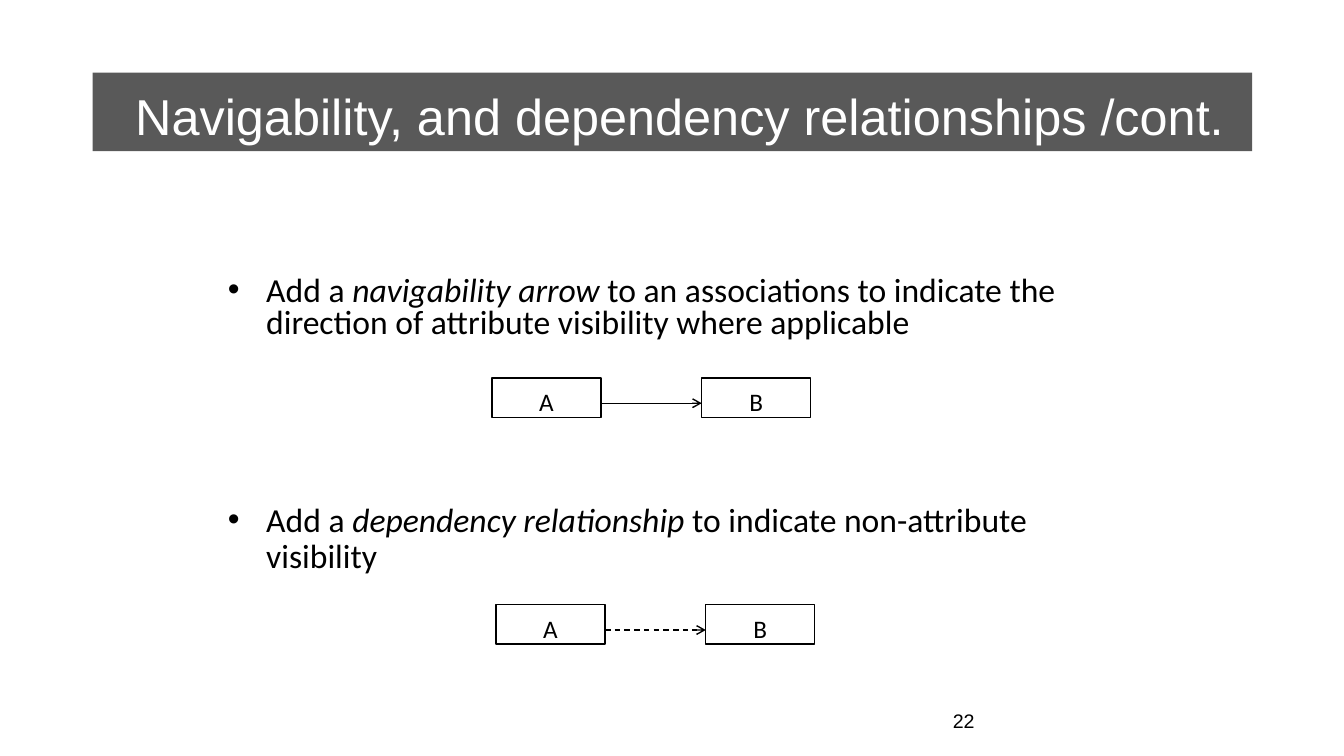
from lxml import etree
from pptx import Presentation
from pptx.dml.color import RGBColor
from pptx.enum.dml import MSO_LINE
from pptx.enum.shapes import MSO_CONNECTOR as LINK, MSO_SHAPE as SHAPE
from pptx.enum.text import MSO_ANCHOR as ANCHOR, MSO_AUTO_SIZE as FIT, PP_ALIGN as ALIGN
from pptx.oxml.ns import qn
from pptx.util import Emu, Pt

PX = 9144  # 100 px to the inch
COLORS = {"ink": "000000", "paper": "FFFFFF"}
BOX_W, BOX_H, GAP, DROP = 108, 39, 100, 25


def px(n):
    return Emu(n * PX)


def color(name):
    return RGBColor.from_string(COLORS[name])


def place(shape, x, y, w, h):
    shape.left, shape.top, shape.width, shape.height = map(px, (x, y, w, h))


def frame(shape, top=0, anchor=ANCHOR.TOP):
    body = shape.text_frame
    body.word_wrap = True
    body.auto_size = FIT.NONE
    body.vertical_anchor = anchor
    body.margin_left = body.margin_right = body.margin_bottom = 0
    body.margin_top = px(top)
    return body


def style(item, face, size, tint="ink"):
    item.font.name = face
    item.font.size = Pt(size)
    item.font.color.rgb = color(tint)


def indent(para, left, first=0, mark=None):
    props = para._p.get_or_add_pPr()
    props.set("marL", str(px(left)))
    props.set("indent", str(px(first)))
    if mark:
        etree.SubElement(props, qn("a:buChar")).set("char", mark)
    else:
        etree.SubElement(props, qn("a:buNone"))


def add_bar(slide):
    bar = slide.shapes.add_shape(SHAPE.RECTANGLE, px(92), px(72), px(1150), px(78))
    bar.shadow.inherit = False
    bar.line.fill.background()
    bar.fill.solid()
    bar.fill.fore_color.rgb = color("ink")
    tint = bar._element.spPr.find(".//" + qn("a:srgbClr"))
    etree.SubElement(tint, qn("a:alpha")).set("val", "65000")
    slide.shapes._spTree.insert(2, bar._element)  # behind the title


def add_title(slide, text):
    title = slide.shapes.title
    place(title, 92, 83, 1142, 62)
    body = frame(title, 1, ANCHOR.MIDDLE)
    body.text = text
    para = body.paragraphs[0]
    indent(para, 42)
    para.alignment = ALIGN.LEFT
    style(para.runs[0], "Arial", 36, "paper")


def add_point(shape, spot, top, pitch, lines):
    """Each line is a list of (text, italic) parts; the first has the bullet."""
    place(shape, *spot)
    body = frame(shape, top)
    for i, parts in enumerate(lines):
        para = body.add_paragraph() if i else body.paragraphs[0]
        indent(para, 39, 0 if i else -38, None if i else "•")
        para.space_before = Pt(0)
        para.line_spacing = Pt(pitch)
        for text, slant in parts:
            run = para.add_run()
            run.text = text
            style(run, "Calibri", 24)
            run.font.italic = slant


def add_box(slide, x, y, text):
    box = slide.shapes.add_shape(SHAPE.RECTANGLE, px(x), px(y), px(BOX_W), px(BOX_H))
    box.shadow.inherit = False
    box.fill.background()
    box.line.color.rgb = color("ink")
    box.line.width = Pt(1)
    body = frame(box, 8)
    body.text = text
    para = body.paragraphs[0]
    para.alignment = ALIGN.CENTER
    style(para.runs[0], "Calibri", 18)


def add_arrow(slide, x, y, dashed):
    link = slide.shapes.add_connector(LINK.STRAIGHT, px(x), px(y), px(x + GAP), px(y))
    link.line.color.rgb = color("ink")
    link.line.width = Pt(1)
    if dashed:
        link.line.dash_style = MSO_LINE.DASH
    head = etree.SubElement(link.line._get_or_add_ln(), qn("a:tailEnd"))
    head.set("type", "arrow")
    etree.SubElement(link._element.spPr, qn("a:effectLst"))


def add_pair(slide, x, y, dashed=False):
    for i, name in enumerate("AB"):
        add_box(slide, x + i * (BOX_W + GAP), y, name)
    add_arrow(slide, x + BOX_W, y + DROP, dashed)


def add_number(slide, text):
    box = slide.shapes.add_textbox(px(945), px(695), px(297), px(40))
    body = frame(box, 0, ANCHOR.MIDDLE)
    body.text = text
    para = body.paragraphs[0]
    para.line_spacing = Pt(16.5)
    style(para.runs[0], "Arial", 14)


def main():
    deck = Presentation()
    deck.slide_width, deck.slide_height = px(1333), px(750)
    slide = deck.slides.add_slide(deck.slide_layouts[3])
    first, second = list(slide.placeholders)[1:]

    # Heading
    add_bar(slide)
    add_title(slide, "Navigability, and dependency relationships /cont.")

    # Navigability
    add_point(first, (225, 266, 823, 75), 9, 23, [
        [("Add a ", False), ("navigability arrow ", True),
         ("to an associations to indicate the "
          "direction of attribute visibility where applicable", False)]])
    add_pair(slide, 488, 375)

    # Dependency
    add_point(second, (225, 498, 796, 75), 1, 25.9, [
        [("Add a ", False), ("dependency relationship ", True),
         ("to indicate non-attribute", False)],
        [("visibility", False)]])
    add_pair(slide, 492, 600, dashed=True)

    # Slide number
    add_number(slide, "22")
    deck.save("out.pptx")


if __name__ == "__main__":
    main()
